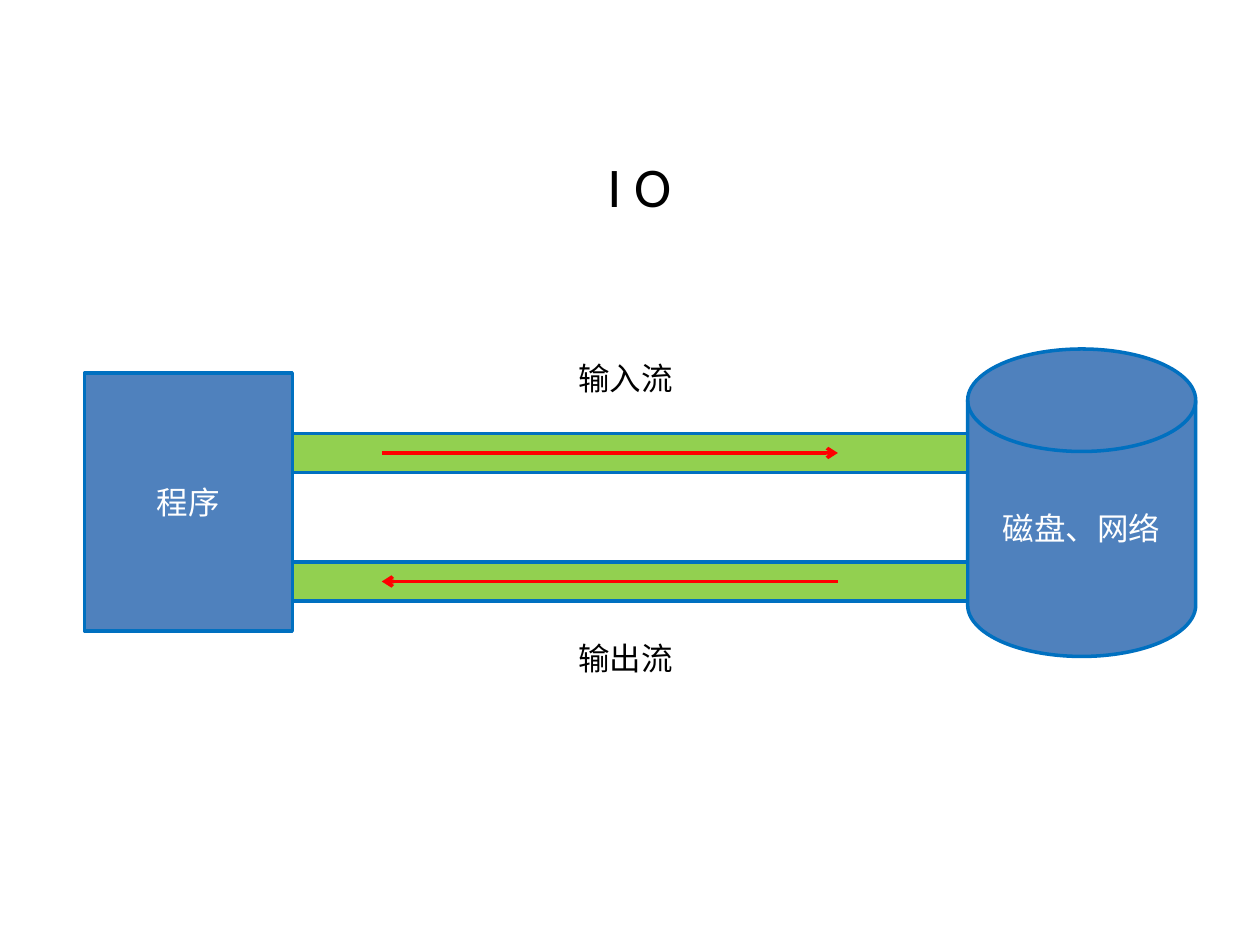
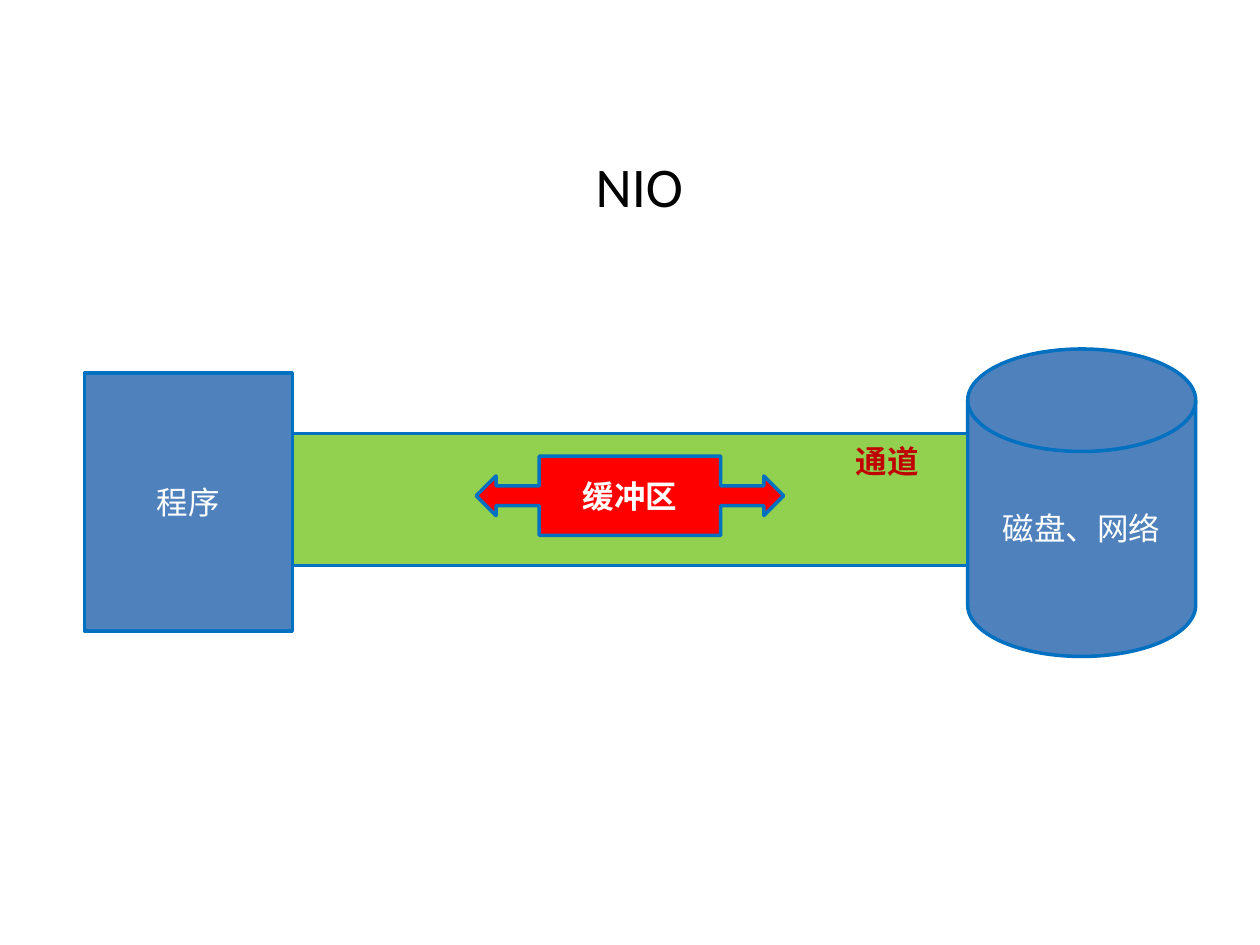
from lxml import etree
from pptx import Presentation
from pptx.dml.color import RGBColor
from pptx.enum.shapes import MSO_CONNECTOR, MSO_SHAPE
from pptx.enum.text import MSO_ANCHOR, MSO_AUTO_SIZE, PP_ALIGN
from pptx.oxml.ns import qn
from pptx.util import Inches, Pt

RECT = MSO_SHAPE.RECTANGLE
DISK = MSO_SHAPE.FLOWCHART_MAGNETIC_DISK
CALLOUT = MSO_SHAPE.LEFT_RIGHT_ARROW_CALLOUT
STRAIGHT = MSO_CONNECTOR.STRAIGHT
LEFT, CENTER = PP_ALIGN.LEFT, PP_ALIGN.CENTER
MIDDLE = MSO_ANCHOR.MIDDLE
FIT = MSO_AUTO_SIZE.SHAPE_TO_FIT_TEXT

# Content
COLORS = {"box": "4F81BD", "edge": "0070C0", "pipe": "92D050", "red": "FF0000",
          "dark": "C00000", "white": "FFFFFF", "black": "000000"}
LATIN, CJK = "Calibri", "Noto Sans CJK SC"
TITLES = ("I O", "NIO")
PROGRAM, STORE = "程序", "磁盘、网络"
BUFFER, CHANNEL = "缓冲区", "通道"
# Streams: label, label top, pipe top, whether data flows right
STREAMS = [("输入流", 2.8, 3.44, True), ("输出流", 5.02, 4.46, False)]

# Layout in inches: left, top, width, height
WIDTH, HEIGHT = 10, 7.5
TITLE_AT = (3.66, 1.15, 2.83, 0.64)
PROG_AT = (0.67, 2.96, 1.65, 2.05)
DISK_AT = (7.68, 2.77, 1.81, 2.44)
PIPE_X = PROG_AT[0] + PROG_AT[2]
PIPE_W = DISK_AT[0] - PIPE_X
PIPE_TOP, THIN, THICK = 3.44, 0.31, 1.05
FLOW = (3.03, 6.65)
LABEL_X, LABEL_W, LABEL_H = 4.49, 1.02, 0.4
BUFFER_AT = (3.78, 3.62, 2.44, 0.63)
CHANNEL_AT = (6.5, 3.46, 1.08, LABEL_H)


def paint(name):
    return RGBColor.from_string(COLORS[name])


def write(frame, text, color, size=18, font=LATIN, bold=False, align=CENTER):
    para = frame.paragraphs[0]
    para.alignment = align
    run = para.add_run()
    run.text = text
    run.font.size = Pt(size)
    run.font.bold = bold
    run.font.color.rgb = paint(color)
    run.font.name = font
    east = etree.SubElement(run.font._element, qn("a:ea"))
    east.set("typeface", CJK)


def block(slide, kind, at, fill, text=None, **style):
    shape = slide.shapes.add_shape(kind, *map(Inches, at))
    shape.shadow.inherit = False
    shape.fill.solid()
    shape.fill.fore_color.rgb = paint(fill)
    shape.line.color.rgb = paint("edge")
    shape.line.width = Pt(2)
    if text:
        shape.text_frame.vertical_anchor = MIDDLE
        write(shape.text_frame, text, "white", **style)
    return shape


def label(slide, at, text, color="black", **style):
    frame = slide.shapes.add_textbox(*map(Inches, at)).text_frame
    frame.word_wrap = True
    frame.auto_size = FIT
    write(frame, text, color, **style)


def arrow(slide, start, end, y):
    line = slide.shapes.add_connector(
        STRAIGHT, Inches(start), Inches(y), Inches(end), Inches(y))
    line.line.color.rgb = paint("red")
    line.line.width = Pt(2)
    etree.SubElement(line.line._get_or_add_ln(), qn("a:tailEnd")).set("type", "arrow")
    etree.SubElement(line._element.spPr, qn("a:effectLst"))


def pipe(slide, top, height):
    block(slide, RECT, (PIPE_X, top, PIPE_W, height), "pipe")


def base(deck, title):
    """Add a slide with the title, the program and the store."""
    slide = deck.slides.add_slide(deck.slide_layouts[6])
    block(slide, RECT, PROG_AT, "box", PROGRAM)
    block(slide, DISK, DISK_AT, "box", STORE)
    label(slide, TITLE_AT, title, size=32)
    return slide


def main():
    deck = Presentation()
    deck.slide_width, deck.slide_height = Inches(WIDTH), Inches(HEIGHT)

    # One pipe for each direction
    slide = base(deck, TITLES[0])
    for name, text_top, top, right in STREAMS:
        pipe(slide, top, THIN)
        start, end = FLOW if right else FLOW[::-1]
        arrow(slide, start, end, top + THIN / 2)
        label(slide, (LABEL_X, text_top, LABEL_W, LABEL_H), name, align=LEFT)

    # One channel with a buffer moving both ways
    slide = base(deck, TITLES[1])
    pipe(slide, PIPE_TOP, THICK)
    strong = {"font": CJK, "bold": True}
    buffer = block(slide, CALLOUT, BUFFER_AT, "red", BUFFER, **strong)
    for i, share in enumerate((0.25, 0.25, 0.25, 0.59)):
        buffer.adjustments[i] = share
    label(slide, CHANNEL_AT, CHANNEL, "dark", **strong)

    deck.save("out.pptx")


if __name__ == "__main__":
    main()
